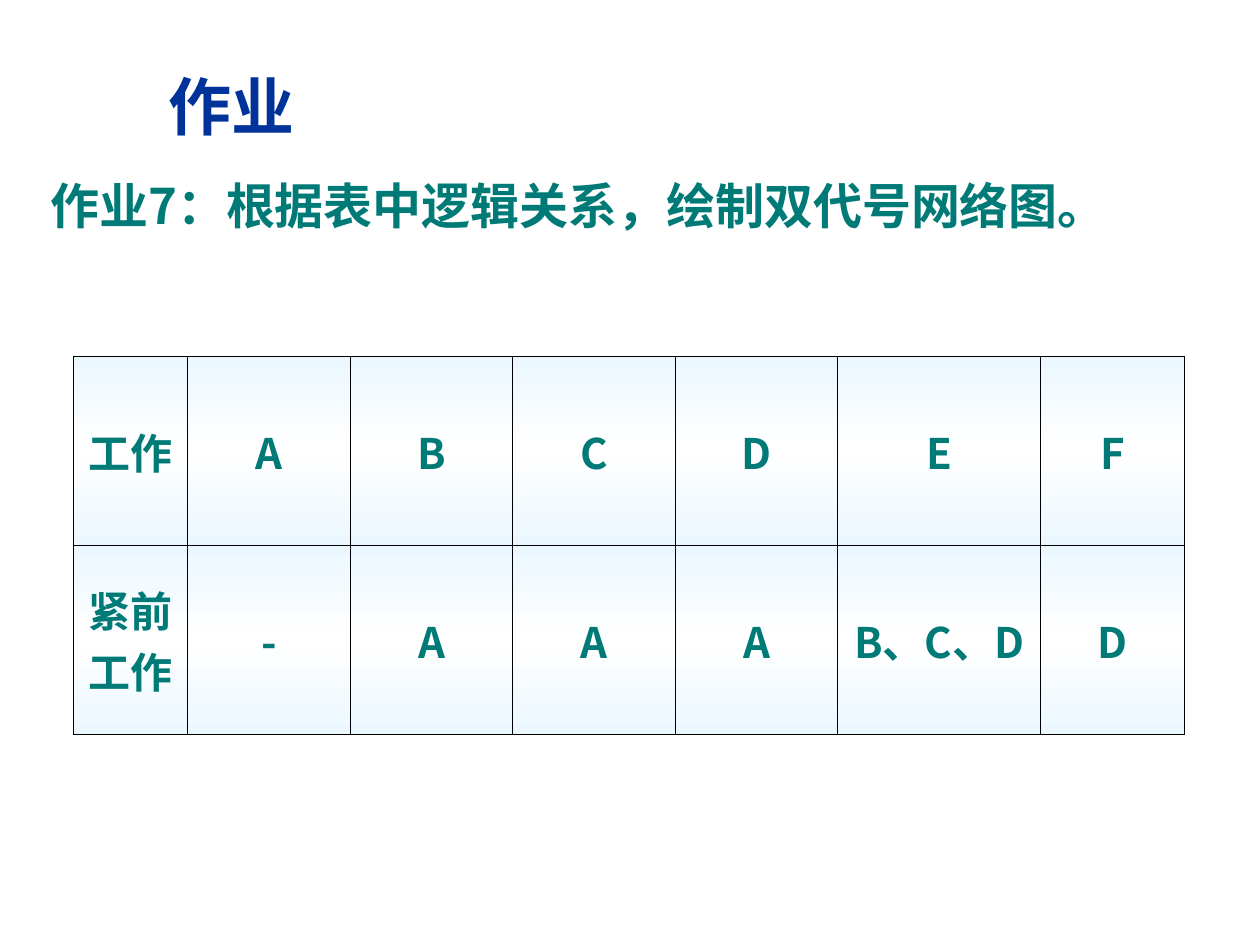
from pptx import Presentation, util as u
from pptx.dml.color import RGBColor
from pptx.enum import text
from pptx.oxml import parse_xml
from pptx.oxml.ns import nsdecls, qn

CJK = "Noto Sans CJK SC"
TEAL, NAVY = "007A77", "003399"
HANGING = 0.38
SLIDE_W, SLIDE_H = 10, 7.5

COLUMN_WIDTHS = [0.91, 1.29, 1.29, 1.29, 1.29, 1.61, 1.14]
ACTIVITIES = ["工作", "A", "B", "C", "D", "E", "F"]
PREDECESSORS = ["紧前\n工作", "-", "A", "A", "A", "B、C、D", "D"]


def colour(value):
    return RGBColor.from_string(value)


def inches(box):
    return [u.Inches(length) for length in box]


def add_run(paragraph, words, size, tint, latin=CJK):
    run = paragraph.add_run()
    run.text = words
    font = run.font
    font.size, font.bold, font.name = u.Pt(size), True, latin
    font.color.rgb = colour(tint)
    east_asian = parse_xml(f'<a:ea {nsdecls("a")} typeface="{CJK}"/>')
    run._r.rPr.find(qn("a:latin")).addnext(east_asian)


def hang(paragraph):
    props = paragraph._p.get_or_add_pPr()
    props.set("marL", str(u.Inches(HANGING)))
    props.set("indent", str(-u.Inches(HANGING)))


def add_heading(slide, box):
    title = slide.shapes.title
    title.left, title.top, title.width, title.height = inches(box)
    frame = title.text_frame
    frame.vertical_anchor = text.MSO_ANCHOR.MIDDLE
    paragraph = frame.paragraphs[0]
    paragraph.alignment = text.PP_ALIGN.CENTER
    add_run(paragraph, "作业", 36, NAVY, "Arial")


def add_task(slide, box):
    frame = slide.shapes.add_textbox(*inches(box)).text_frame
    frame.word_wrap = True
    frame.margin_left = frame.margin_right = u.Inches(0.2)
    paragraph = frame.paragraphs[0]
    hang(paragraph)
    add_run(paragraph, "作业7：根据表中逻辑关系，绘制双代号网络图。", 28, TEAL)


def style_cell(cell):
    """Thin black borders and a soft vertical gradient."""
    borders = [
        f'<a:{side} {nsdecls("a")} w="{u.Pt(0.45)}"><a:solidFill>'
        f'<a:srgbClr val="000000"/></a:solidFill></a:{side}>'
        for side in ("lnL", "lnR", "lnT", "lnB")
    ]
    stops = "".join(
        f'<a:gs pos="{percent * 1000}"><a:srgbClr val="{tint}"/></a:gs>'
        for percent, tint in ((0, "EBF7FF"), (50, "FFFFFF"), (100, "EBF7FF"))
    )
    gradient = (f'<a:gradFill {nsdecls("a")} rotWithShape="1"><a:gsLst>{stops}</a:gsLst>'
                '<a:lin ang="5400000" scaled="0"/></a:gradFill>')
    props = cell._tc.get_or_add_tcPr()
    for xml in borders + [gradient]:
        props.append(parse_xml(xml))


def fill_cell(cell, words):
    cell.vertical_anchor = text.MSO_ANCHOR.MIDDLE
    frame = cell.text_frame
    for index, line in enumerate(words.split("\n")):
        paragraph = frame.add_paragraph() if index else frame.paragraphs[0]
        paragraph.alignment = text.PP_ALIGN.CENTER
        hang(paragraph)
        add_run(paragraph, line, 24, TEAL)
    style_cell(cell)


def add_logic_table(slide, box):
    rows = [ACTIVITIES, PREDECESSORS]
    table = slide.shapes.add_table(len(rows), len(COLUMN_WIDTHS), *inches(box)).table
    table.first_row = table.horz_banding = False
    scale = box[2] / sum(COLUMN_WIDTHS)
    for column, width in zip(table.columns, COLUMN_WIDTHS):
        column.width = u.Inches(width * scale)
    for r, entries in enumerate(rows):
        table.rows[r].height = u.Inches(box[3] / len(rows))
        for c, words in enumerate(entries):
            fill_cell(table.cell(r, c), words)


def main():
    deck = Presentation()
    deck.slide_width, deck.slide_height = inches((SLIDE_W, SLIDE_H))
    slide = deck.slides.add_slide(deck.slide_layouts[5])  # title only

    add_task(slide, (0.2, 1.34, 8.98, 0.64))
    add_logic_table(slide, (0.58, 2.83, 8.82, 3))
    add_heading(slide, (0.25, 0.42, 3.17, 0.83))

    deck.save("out.pptx")


if __name__ == "__main__":
    main()
